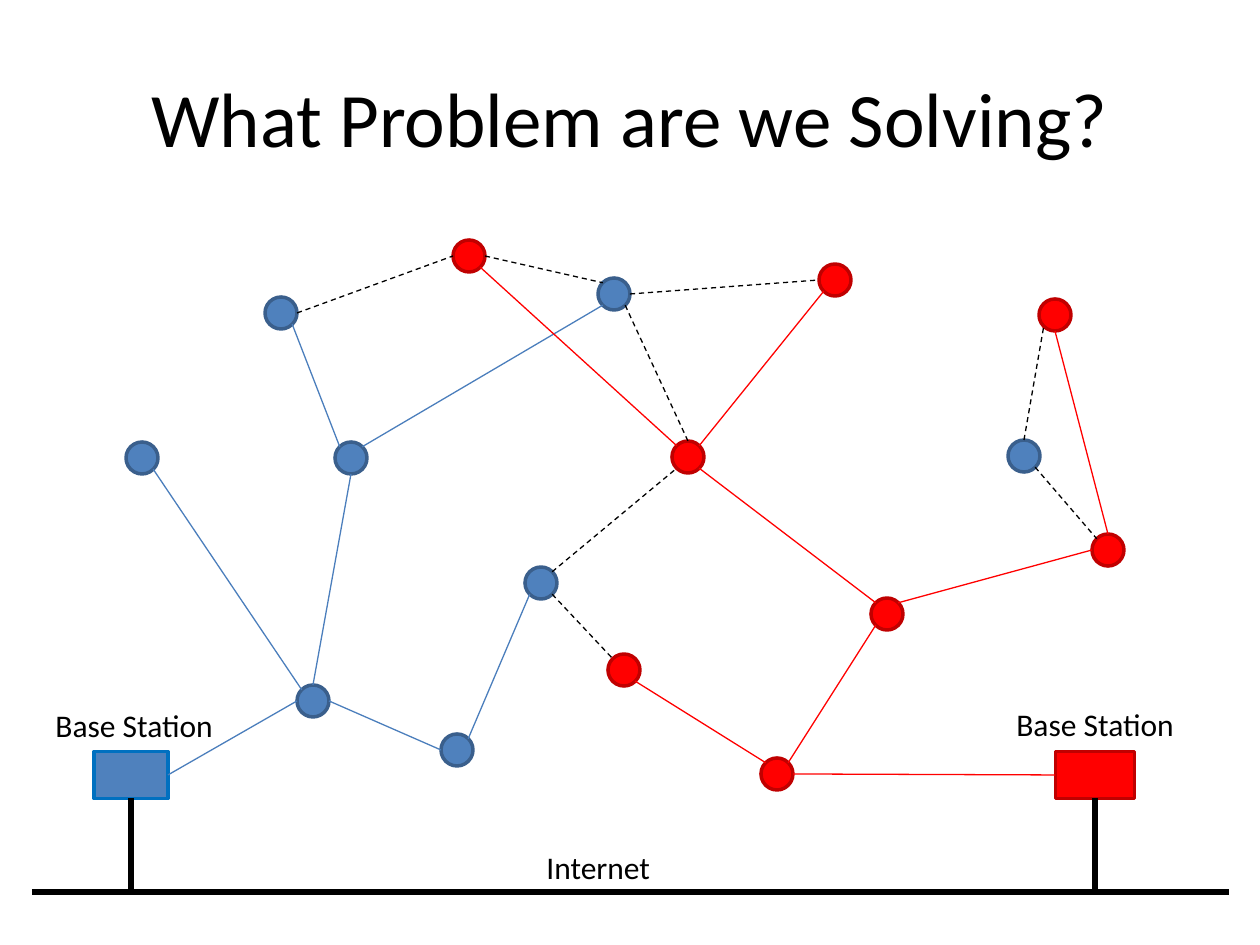
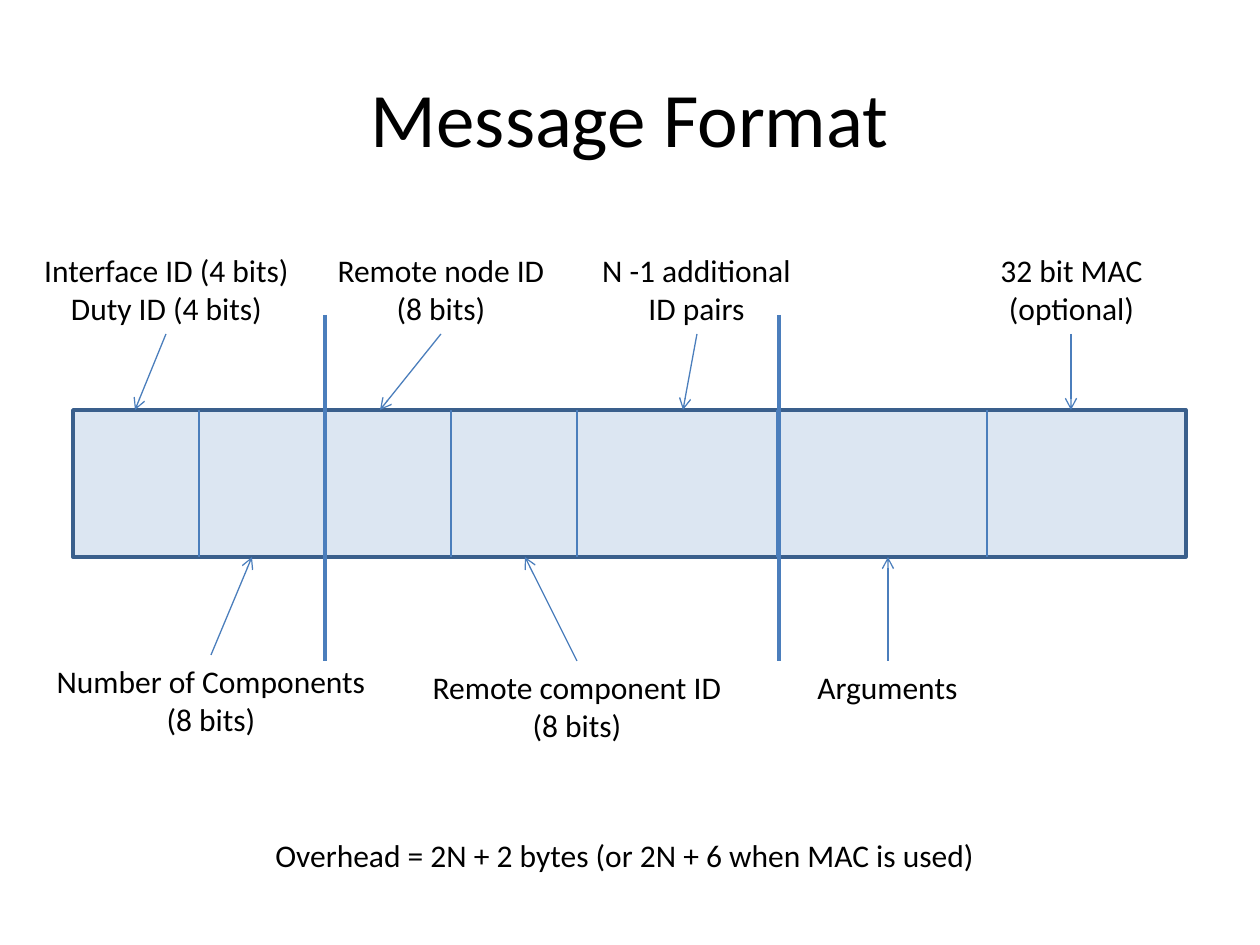
from lxml import etree
from pptx import Presentation
from pptx.dml.color import RGBColor
from pptx.enum.dml import MSO_LINE
from pptx.enum.shapes import MSO_CONNECTOR, MSO_SHAPE
from pptx.enum.text import MSO_ANCHOR, PP_ALIGN
from pptx.oxml.ns import qn
from pptx.util import Emu, Pt

PX = 914400 // 126
STRAIGHT = MSO_CONNECTOR.STRAIGHT
OVAL, RECT = MSO_SHAPE.OVAL, MSO_SHAPE.RECTANGLE
DASH = MSO_LINE.DASH
LEFT, CENTER = PP_ALIGN.LEFT, PP_ALIGN.CENTER
TOP, MIDDLE = MSO_ANCHOR.TOP, MSO_ANCHOR.MIDDLE

rgb = RGBColor.from_string
BLACK, BLUE, RED = "000000", "4F81BD", "FF0000"
BLUE_EDGE, RED_EDGE, STATION_EDGE = "3A5F8C", "C00000", "0070C0"
BLUE_LINK, PALE_BLUE = "4B7EBC", "DCE6F2"


def add_box(s, kind, x, y, w, h, fill, edge):
    sp = s.shapes.add_shape(kind, *[Emu(round(v * PX)) for v in (x, y, w, h)])
    sp.shadow.inherit = False
    sp.fill.solid()
    sp.fill.fore_color.rgb = rgb(fill)
    sp.line.color.rgb = rgb(edge)
    sp.line.width = Pt(2)


def add_line(s, start, end, color, width=0.75, dash=None, arrow=False):
    cn = s.shapes.add_connector(STRAIGHT, *[Emu(round(v * PX)) for v in (*start, *end)])
    cn.line.color.rgb = rgb(color)
    cn.line.width = Pt(width)
    if dash:
        cn.line.dash_style = dash
    if arrow:
        ln = cn.line._get_or_add_ln()
        etree.SubElement(ln, qn("a:tailEnd"), type="arrow")
    etree.SubElement(cn._element.spPr, qn("a:effectLst"))


prs = Presentation()
prs.slide_width, prs.slide_height = Emu(9144000), Emu(6858000)
network, message = [prs.slides.add_slide(prs.slide_layouts[6]) for _ in range(2)]

blue_nodes = {
    "b1": (281, 313), "b2": (351, 458), "b3": (614, 294), "b4": (541, 583),
    "b5": (313, 701), "b6": (1024, 456), "b7": (457, 750), "b8": (142, 458),
}
red_nodes = {
    "r1": (887, 614), "r2": (688, 457), "r3": (624, 670), "r4": (835, 280),
    "r5": (777, 774), "r6": (1108, 550), "r7": (1055, 315), "r8": (469, 256),
}
NODE = 32
boxes = {}
for nodes, fill, edge in ((blue_nodes, BLUE, BLUE_EDGE), (red_nodes, RED, RED_EDGE)):
    for name, (cx, cy) in nodes.items():
        boxes[name] = (OVAL, cx, cy, NODE, NODE, fill, edge)
boxes["blue base"] = (RECT, 131, 775, 74, 47, BLUE, STATION_EDGE)
boxes["red base"] = (RECT, 1095, 775, 79, 47, RED, RED_EDGE)
for kind, cx, cy, w, h, fill, edge in boxes.values():
    add_box(network, kind, cx - w / 2, cy - h / 2, w, h, fill, edge)

SIDES = {
    "N": (0, -0.5), "S": (0, 0.5), "W": (-0.5, 0), "E": (0.5, 0),
    "NW": (-0.35, -0.35), "NE": (0.35, -0.35), "SW": (-0.35, 0.35), "SE": (0.35, 0.35),
}
blue_links = [
    ("blue base", "E", "b5", "W"), ("b5", "E", "b7", "W"), ("b5", "N", "b2", "S"),
    ("b5", "NW", "b8", "SE"), ("b1", "SE", "b2", "NW"), ("b2", "NE", "b3", "SW"),
    ("b4", "SW", "b7", "NE"),
]
red_links = [
    ("r5", "E", "red base", "W"), ("r5", "NE", "r1", "SW"), ("r5", "NW", "r3", "SE"),
    ("r1", "NE", "r6", "W"), ("r1", "NW", "r2", "SE"), ("r2", "NE", "r4", "SW"),
    ("r2", "NW", "r8", "SE"), ("r6", "N", "r7", "S"),
]
cross_links = [
    ("b6", "N", "r7", "SW"), ("b6", "SE", "r6", "NW"), ("b4", "SE", "r3", "NW"),
    ("b3", "SE", "r2", "N"), ("b3", "E", "r4", "W"), ("b1", "E", "r8", "W"),
    ("b4", "NE", "r2", "SW"), ("r8", "E", "b3", "NW"),
]
for links, color, dash in (
    (blue_links, BLUE_LINK, None), (red_links, RED, None), (cross_links, BLACK, DASH),
):
    for a, side_a, b, side_b in links:
        ends = []
        for name, side in ((a, side_a), (b, side_b)):
            _, cx, cy, w, h, _, _ = boxes[name]
            dx, dy = SIDES[side]
            ends.append((cx + dx * w, cy + dy * h))
        add_line(network, *ends, color, dash=dash)

INTERNET_Y = 892
add_line(network, (32, INTERNET_Y), (1229, INTERNET_Y), BLACK, 3)
for x in (131, 1095):
    add_line(network, (x, 798), (x, INTERNET_Y), BLACK, 3)

BAR_TOP, BAR_BOTTOM = 410, 557
add_box(message, RECT, 73, BAR_TOP, 1113, BAR_BOTTOM - BAR_TOP, PALE_BLUE, BLUE_EDGE)
for x in (199, 325, 451, 577, 777, 987):
    add_line(message, (x, BAR_TOP), (x, BAR_BOTTOM), BLUE_LINK)
for x in (325, 779):
    add_line(message, (x, 315), (x, 661), BLUE_LINK, 2)
for x, y, tip_x, tip_y in (
    (166, 334, 135, BAR_TOP), (441, 334, 380, BAR_TOP), (697, 334, 683, BAR_TOP),
    (1071, 334, 1071, BAR_TOP), (211, 655, 252, BAR_BOTTOM),
    (577, 661, 525, BAR_BOTTOM), (888, 661, 888, BAR_BOTTOM),
):
    add_line(message, (x, y), (tip_x, tip_y), BLUE_LINK, arrow=True)

TITLE_AT = (63, 38, 1134, 157)
TITLE = {"size": 44, "align": CENTER, "frame": {"word_wrap": True, "vertical_anchor": MIDDLE}}
LABEL = {"size": 18, "align": LEFT, "frame": {"word_wrap": False, "vertical_anchor": TOP}}
CENTERED = {**LABEL, "align": CENTER}
texts = [
    (network, TITLE_AT, ["What Problem are we Solving?"], TITLE),
    (network, (534, 842, 130, 50), ["Internet"], LABEL),
    (network, (43, 700, 185, 50), ["Base Station"], LABEL),
    (network, (1004, 699, 185, 50), ["Base Station"], LABEL),
    (message, TITLE_AT, ["Message Format"], TITLE),
    (message, (30, 245, 273, 89), ["Interface ID (4 bits)", "Duty ID (4 bits)"], CENTERED),
    (message, (324, 245, 234, 89), ["Remote node ID", "(8 bits)"], CENTERED),
    (message, (588, 245, 217, 89), ["N -1 additional", "ID pairs"], CENTERED),
    (message, (987, 245, 169, 89), ["32 bit MAC", "(optional)"], CENTERED),
    (message, (42, 656, 338, 89), ["Number of Components", "(8 bits)"], CENTERED),
    (message, (418, 662, 318, 89), ["Remote component ID", "(8 bits)"], CENTERED),
    (message, (805, 662, 168, 50), ["Arguments"], LABEL),
    (message, (263, 830, 733, 50), ["Overhead = 2N + 2 bytes (or 2N + 6 when MAC is used)"], LABEL),
]
for s, place, lines, style in texts:
    tf = s.shapes.add_textbox(*[Emu(v * PX) for v in place]).text_frame
    for key, value in style["frame"].items():
        setattr(tf, key, value)
    for i, line in enumerate(lines):
        p = tf.add_paragraph() if i else tf.paragraphs[0]
        p.alignment = style["align"]
        r = p.add_run()
        r.text = line
        for key, value in {"name": "Calibri", "size": Pt(style["size"])}.items():
            setattr(r.font, key, value)
        r.font.color.rgb = rgb(BLACK)

prs.save("out.pptx")
